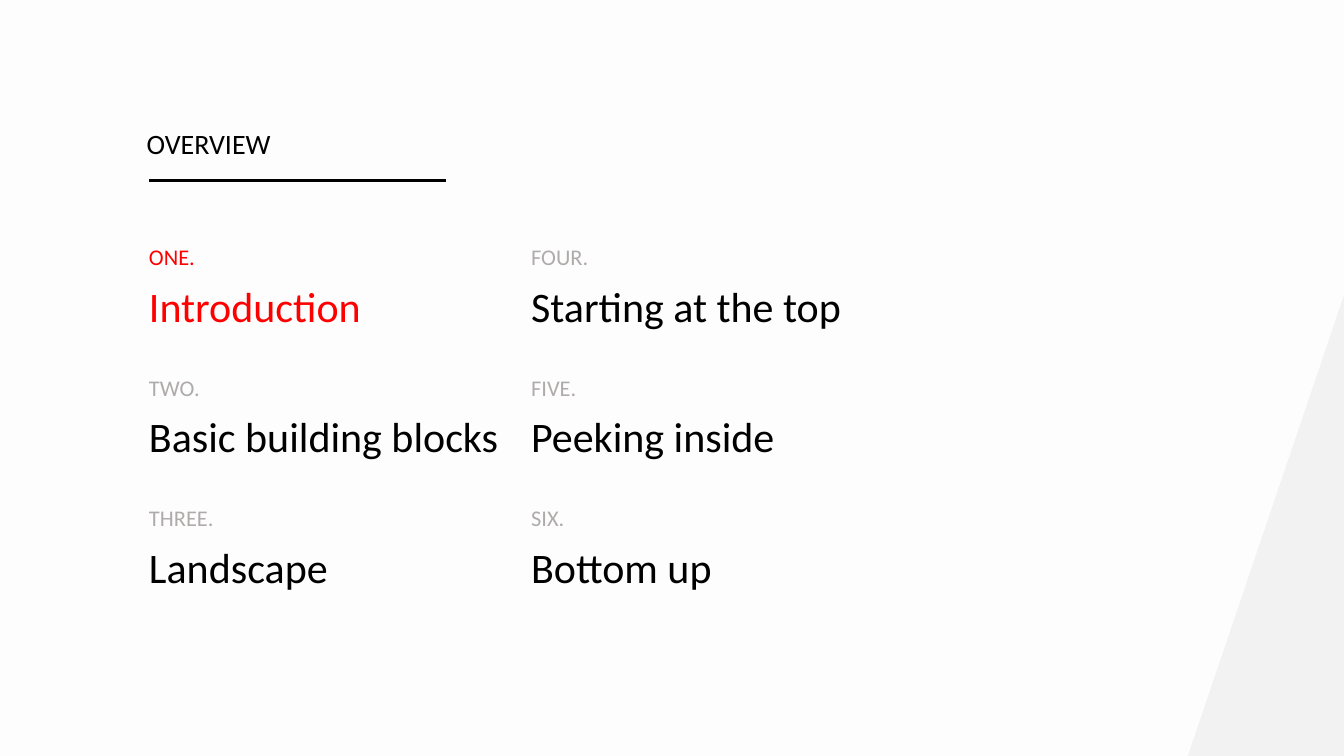
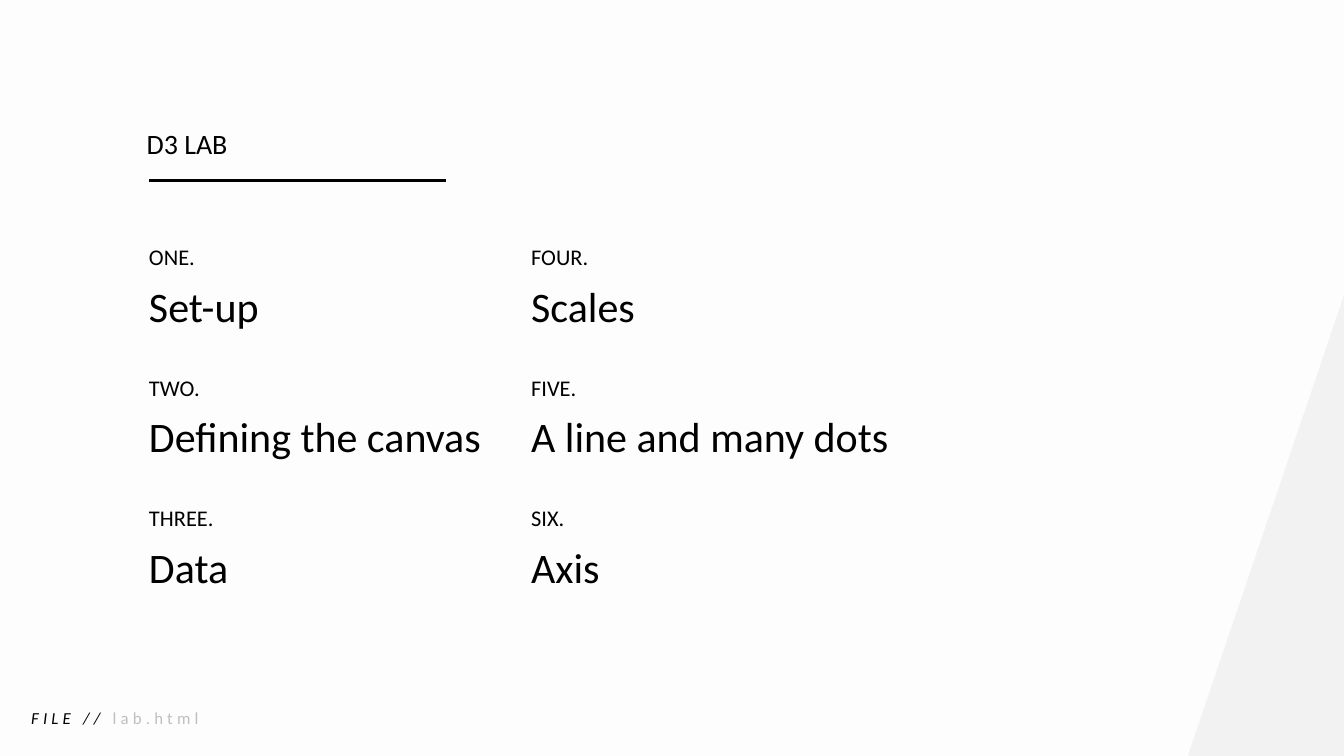
from dataclasses import dataclass

from pptx import Presentation
from pptx.dml.color import RGBColor
from pptx.enum.shapes import MSO_CONNECTOR
from pptx.enum.text import MSO_AUTO_SIZE
from pptx.oxml.ns import qn
from pptx.util import Cm, Pt
from lxml import etree

STRAIGHT = MSO_CONNECTOR.STRAIGHT
GROW = MSO_AUTO_SIZE.SHAPE_TO_FIT_TEXT
BLANK_LAYOUT = 6


@dataclass(frozen=True)
class Theme:
    font: str = "Calibri"
    background: str = "FDFDFD"
    wedge: str = "F2F2F2"
    ink: str = "000000"
    active: str = "FF0000"
    muted: str = "AFABAB"
    faint: str = "BFBFBF"
    title_size: int = 40
    number_size: int = 32
    topic_size: int = 60
    footer_size: int = 24
    rule_width: int = 5


# Agenda grid, in centimetres
NUMBERS = ["ONE.", "TWO.", "THREE.", "FOUR.", "FIVE.", "SIX."]
ROWS = 3
GRID_LEFT, GRID_TOP = 7.26, 11.46
COLUMN_STEP, ROW_STEP = 19.26, 6.57
TOPIC_DROP = 1.28


def add_span(para, text, *, font, size, color, italic=False, tracking=0):
    """Append formatted text to a paragraph; tracking is in points."""
    span = para.add_run()
    span.text = text
    span.font.name = font
    span.font.size = Pt(size)
    span.font.italic = italic
    span.font.color.rgb = RGBColor.from_string(color)
    if tracking:
        span.font._element.set("spc", str(tracking * 100))


class AgendaDeck:
    def __init__(self, theme):
        self.theme = theme
        self.deck = Presentation()
        self.deck.slide_width = Cm(67.74)
        self.deck.slide_height = Cm(38.1)
        self.page = None

    def new_page(self, title):
        """Start a slide with the shared background, title, rule and wedge."""
        self.page = self.deck.slides.add_slide(self.deck.slide_layouts[BLANK_LAYOUT])
        fill = self.page.background.fill
        fill.solid()
        fill.fore_color.rgb = RGBColor.from_string(self.theme.background)
        self.wedge()
        self.text(7.14, 6.27, 24.23, 1.96, [(title, {})], size=self.theme.title_size)
        self.rule(7.52, 22.48, 9.09)

    def text(self, left, top, width, height, spans, *, size, spacing=None):
        """Add a one-paragraph box from pairs of text and format."""
        box = self.page.shapes.add_textbox(Cm(left), Cm(top), Cm(width), Cm(height))
        box.text_frame.word_wrap = True
        box.text_frame.auto_size = GROW
        para = box.text_frame.paragraphs[0]
        para.line_spacing = spacing
        base = {"font": self.theme.font, "size": size, "color": self.theme.ink}
        for words, style in spans:
            add_span(para, words, **{**base, **style})

    def rule(self, left, right, top):
        line = self.page.shapes.add_connector(
            STRAIGHT, Cm(left), Cm(top), Cm(right), Cm(top))
        line.line.color.rgb = RGBColor.from_string(self.theme.ink)
        line.line.width = Pt(self.theme.rule_width)
        etree.SubElement(line._element.spPr, qn("a:effectLst"))

    def wedge(self):
        right, bottom = Cm(67.87), Cm(38.1)
        builder = self.page.shapes.build_freeform(right, Cm(14.5))
        builder.add_line_segments([(right, bottom), (Cm(59.87), bottom)], close=True)
        shape = builder.convert_to_shape()
        shape.shadow.inherit = False
        shape.fill.solid()
        shape.fill.fore_color.rgb = RGBColor.from_string(self.theme.wedge)
        shape.line.fill.background()

    def agenda(self, topics, number_color, active=None):
        """Fill the grid column by column; the active topic is highlighted."""
        theme = self.theme
        for index, (number, topic) in enumerate(zip(NUMBERS, topics)):
            column, row = divmod(index, ROWS)
            left = GRID_LEFT + column * COLUMN_STEP
            top = GRID_TOP + row * ROW_STEP
            is_active = topic == active
            self.text(left, top, 10.67, 2.08,
                      [(number, {"color": theme.active if is_active else number_color})],
                      size=theme.number_size, spacing=1.5)
            topic_width = 15.75 if row == ROWS - 1 else 19.69
            self.text(left, top + TOPIC_DROP, topic_width, 3.68,
                      [(topic, {"color": theme.active if is_active else theme.ink})],
                      size=theme.topic_size, spacing=1.5)

    def footer(self, label, value):
        self.text(1.32, 35.56, 48.29, 1.27,
                  [(label, {"italic": True, "tracking": 6}),
                   (value, {"color": self.theme.faint, "tracking": 6})],
                  size=self.theme.footer_size)


theme = Theme()
builder = AgendaDeck(theme)

# Slide 1: overview, first topic active
builder.new_page("OVERVIEW")
builder.agenda(["Introduction", "Basic building blocks", "Landscape",
                "Starting at the top", "Peeking inside", "Bottom up"],
               theme.muted, active="Introduction")

# Slide 2: lab steps
builder.new_page("D3 LAB")
builder.agenda(["Set-up", "Defining the canvas", "Data",
                "Scales", "A line and many dots", "Axis"], theme.ink)
builder.footer("FILE // ", "lab.html")

builder.deck.save("out.pptx")
